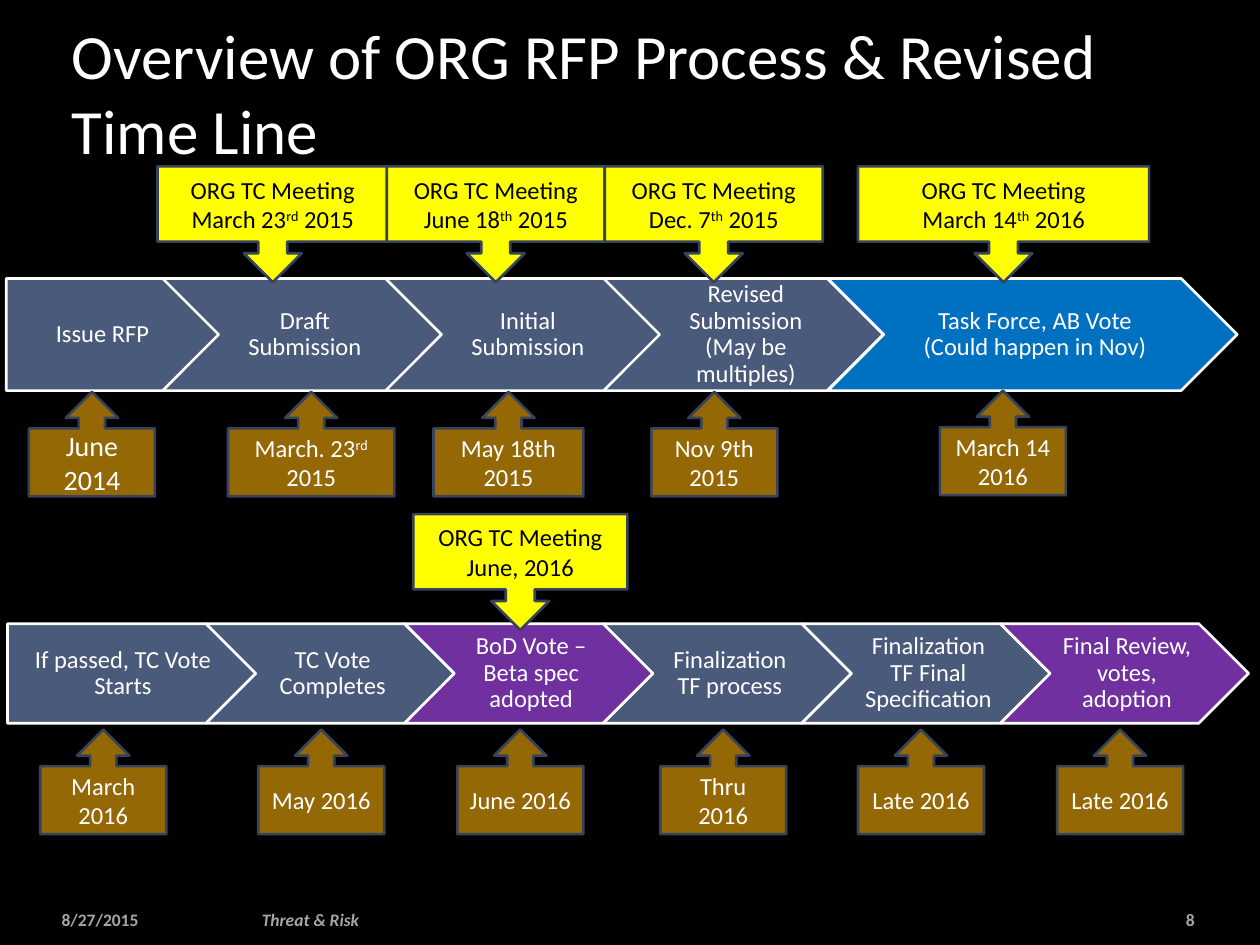
from dataclasses import dataclass
from typing import Any

import pptx
import pptx.dml.color
import pptx.enum.shapes
import pptx.enum.text
import pptx.util

Inches = pptx.util.Inches
Pt = pptx.util.Pt
RGB = pptx.dml.color.RGBColor.from_string
Shapes = pptx.enum.shapes.MSO_SHAPE
Align = pptx.enum.text.PP_ALIGN
Anchor = pptx.enum.text.MSO_ANCHOR
AutoSize = pptx.enum.text.MSO_AUTO_SIZE


@dataclass(frozen=True)
class Theme:
    font: str = "Calibri"
    background: str = "000000"
    light: str = "FFFFFF"
    muted: str = "A6A6A6"
    step: str = "4A5A7A"
    vote: str = "0070C0"
    milestone: str = "7030A0"
    due: str = "956806"
    meeting: str = "FFFF00"
    callout_edge: str = "37435A"
    title_size: int = 36
    body_size: int = 14
    large_size: int = 16
    footer_size: int = 10
    line_width: float = 1.5


THEME = Theme()


@dataclass(frozen=True)
class Step:
    text: str
    left: float
    width: float
    fill: str = THEME.step


@dataclass(frozen=True)
class Callout:
    text: str
    left: float
    top: float
    width: float = 1
    size: int = THEME.body_size


@dataclass(frozen=True)
class FooterItem:
    text: str
    left: float
    width: float
    align: Any = Align.LEFT
    italic: bool = False


PHASE_ONE = [
    Step("Issue RFP", 0.05, 1.69),
    Step("Draft Submission", 1.29, 2.22),
    Step("Initial Submission", 3.06, 2.22),
    Step("Revised Submission (May be multiples)", 4.79, 2.22),
    Step("Task Force, AB Vote\v(Could happen in Nov)", 6.57, 3.25, THEME.vote),
]

PHASE_TWO_LEFT, PHASE_TWO_WIDTH = 0.06, 1.97
PHASE_TWO_PITCH = 0.8 * PHASE_TWO_WIDTH
PHASE_TWO = [
    Step(text, PHASE_TWO_LEFT + index * PHASE_TWO_PITCH, PHASE_TWO_WIDTH, fill)
    for index, (text, fill) in enumerate([
        ("If passed, TC Vote Starts", THEME.step),
        ("TC Vote Completes", THEME.step),
        ("BoD Vote – Beta spec adopted", THEME.milestone),
        ("Finalization TF process", THEME.step),
        ("Finalization TF Final Specification", THEME.step),
        ("Final Review, votes, adoption", THEME.milestone),
    ])
]

# Text between carets is superscript.
DUE_DATES = [
    Callout("June 2014", 0.23, 3.11, size=THEME.large_size),
    Callout("March. 23^rd^\n2015", 1.81, 3.11, 1.32),
    Callout("May 18th\n2015", 3.44, 3.11, 1.19),
    Callout("Nov 9th\n2015", 5.17, 3.11),
    Callout("March 14 2016", 7.46, 3.1),
    Callout("March 2016", 0.32, 5.79),
    Callout("May 2016", 2.05, 5.79),
    Callout("June 2016", 3.63, 5.79),
    Callout("Thru\v2016", 5.24, 5.79),
    Callout("Late 2016", 6.81, 5.79),
    Callout("Late 2016", 8.39, 5.79),
]

MEETINGS = [
    Callout("ORG TC Meeting\nMarch 23^rd^ 2015", 1.25, 1.32, 1.83),
    Callout("ORG TC Meeting\nMarch 14^th^ 2016", 6.81, 1.32, 2.31),
    Callout("ORG TC Meeting\nJune, 2016", 3.28, 4.08, 1.7),
    Callout("ORG TC Meeting\nJune 18^th^ 2015", 3.07, 1.32, 1.73),
    Callout("ORG TC Meeting\nDec. 7^th^ 2015", 4.8, 1.32, 1.73),
]

FOOTER = [
    FooterItem("8/27/2015", 0.39, 1.6),
    FooterItem("Threat & Risk", 1.98, 4.47, italic=True),
    FooterItem("8", 8.62, 0.96, Align.RIGHT),
]


def apply_format(target: Any, values: dict[str, Any]) -> None:
    for name, value in values.items():
        setattr(target, name, value)


def write_text(frame: Any, text: str, color: str, size: int, *,
               paragraph_format: dict[str, Any], **font_format: Any) -> None:
    """Fill a frame, one paragraph per line, raising text between carets."""
    apply_format(frame, {"word_wrap": True, "auto_size": AutoSize.NONE})
    frame.text = text.replace("^", "")
    for paragraph, line in zip(frame.paragraphs, text.split("\n")):
        apply_format(paragraph, paragraph_format)
        if "^" in line:
            paragraph.clear()
            for index, piece in enumerate(line.split("^")):
                run = paragraph.add_run()
                run.text = piece
                if index % 2:
                    run._r.get_or_add_rPr().set("baseline", "30000")
        for run in paragraph.runs:
            apply_format(run.font, {"name": THEME.font, "size": Pt(size), **font_format})
            run.font.color.rgb = RGB(color)


def add_block(slide: Any, preset: Any, left: float, top: float, width: float,
              height: float, fill: str, edge: str) -> Any:
    block = slide.shapes.add_shape(
        preset, Inches(left), Inches(top), Inches(width), Inches(height))
    block.shadow.inherit = False
    block.fill.solid()
    block.fill.fore_color.rgb = RGB(fill)
    block.line.color.rgb = RGB(edge)
    block.line.width = Pt(THEME.line_width)
    block.text_frame.vertical_anchor = Anchor.MIDDLE
    return block


def add_phase(slide: Any, steps: list[Step], top: float, height: float) -> None:
    for index, step in enumerate(steps):
        preset = Shapes.CHEVRON if index else Shapes.PENTAGON
        block = add_block(slide, preset, step.left, top, step.width, height,
                          step.fill, THEME.light)
        apply_format(block.text_frame, {
            "margin_left": Inches(0.06 if index else 0.08), "margin_right": Inches(0.02),
            "margin_top": Inches(0.04), "margin_bottom": Inches(0.04)})
        write_text(block.text_frame, step.text, THEME.light, THEME.body_size,
                   paragraph_format={"alignment": Align.CENTER, "line_spacing": 0.9})


def add_callouts(slide: Any, callouts: list[Callout], preset: Any, height: float,
                 fill: str, color: str) -> None:
    for callout in callouts:
        block = add_block(slide, preset, callout.left, callout.top, callout.width,
                          height, fill, THEME.callout_edge)
        write_text(block.text_frame, callout.text, color, callout.size,
                   paragraph_format={"alignment": Align.CENTER})


def add_footer(slide: Any) -> None:
    for item in FOOTER:
        box = slide.shapes.add_textbox(
            Inches(item.left), Inches(7.16), Inches(item.width), Inches(0.27))
        box.text_frame.vertical_anchor = Anchor.MIDDLE
        write_text(box.text_frame, item.text, THEME.muted, THEME.footer_size,
                   paragraph_format={"alignment": item.align}, bold=True, italic=item.italic)


def add_title(slide: Any) -> None:
    title = slide.shapes.title
    apply_format(title, {"left": Inches(0.47), "top": Inches(0.21),
                         "width": Inches(8.4), "height": Inches(1.17)})
    title.text_frame.vertical_anchor = Anchor.BOTTOM
    write_text(title.text_frame, "Overview of ORG RFP Process & Revised Time Line",
               THEME.light, THEME.title_size,
               paragraph_format={"alignment": Align.LEFT, "space_before": Pt(4)})


def main() -> None:
    deck = pptx.Presentation()
    apply_format(deck, {"slide_width": Inches(10), "slide_height": Inches(7.5)})
    slide = deck.slides.add_slide(deck.slide_layouts.get_by_name("Title Only"))
    slide.background.fill.solid()
    slide.background.fill.fore_color.rgb = RGB(THEME.background)

    add_title(slide)
    add_phase(slide, PHASE_ONE, top=2.21, height=0.89)
    add_phase(slide, PHASE_TWO, top=4.95, height=0.79)
    add_callouts(slide, DUE_DATES, Shapes.UP_ARROW_CALLOUT, 0.83, THEME.due, THEME.light)
    add_callouts(slide, MEETINGS, Shapes.DOWN_ARROW_CALLOUT, 0.92, THEME.meeting,
                 THEME.background)
    add_footer(slide)
    deck.save("out.pptx")


if __name__ == "__main__":
    main()
